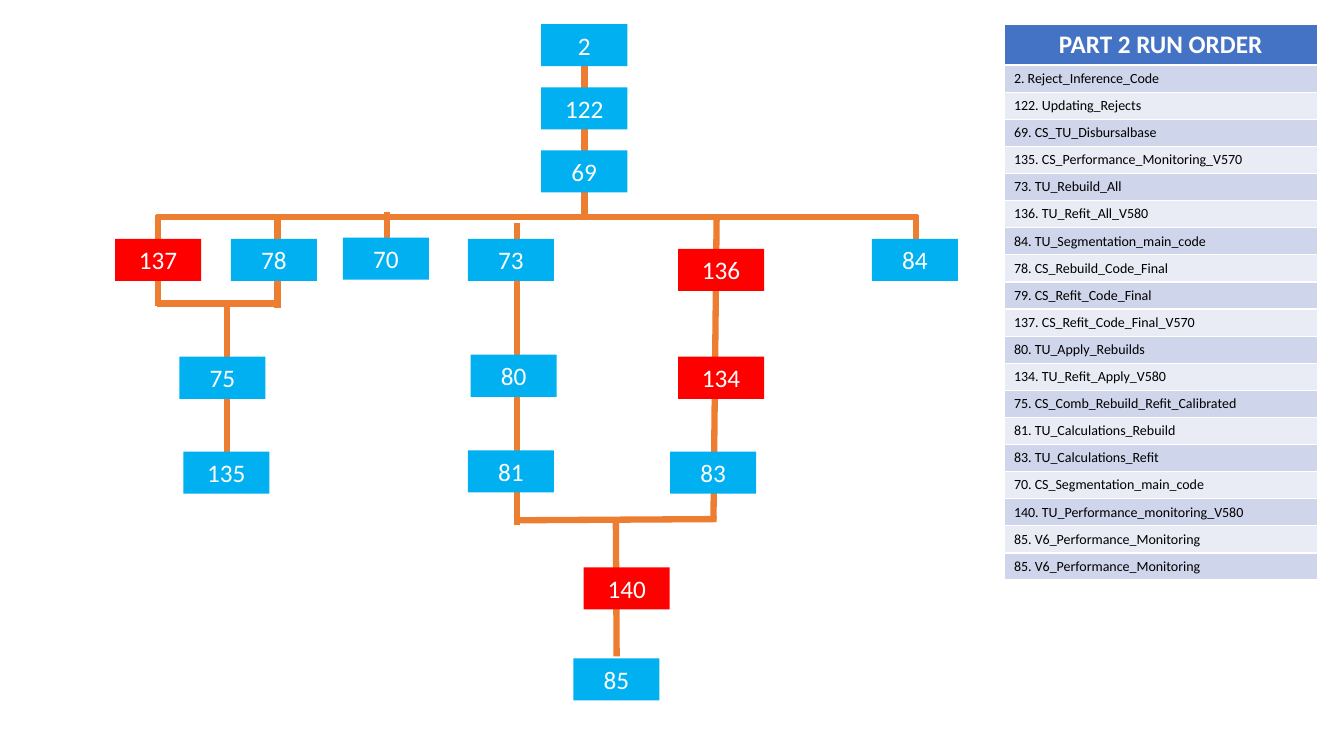
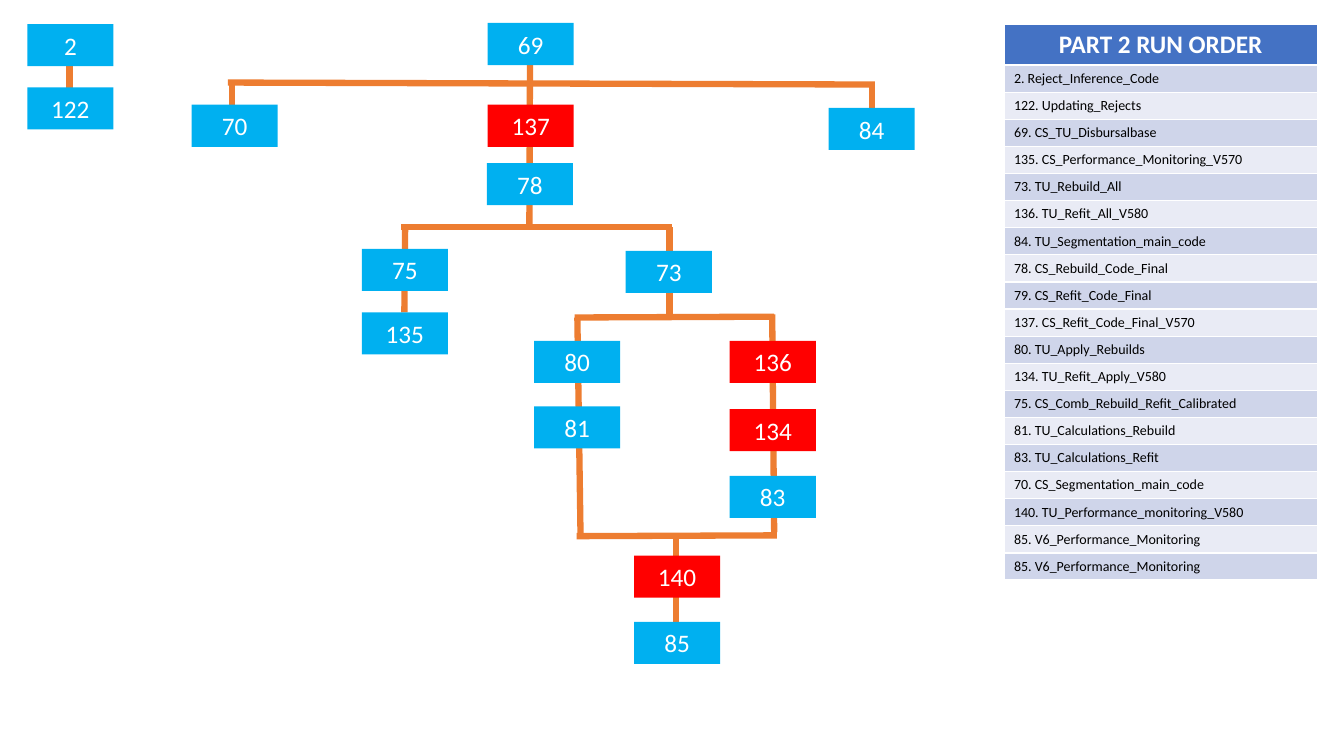
from dataclasses import dataclass
from typing import NamedTuple

from lxml.etree import SubElement
from pptx import Presentation
from pptx.dml.color import RGBColor
from pptx.enum.shapes import MSO_CONNECTOR, MSO_SHAPE
from pptx.enum.text import MSO_ANCHOR, PP_ALIGN
from pptx.oxml.ns import qn
from pptx.slide import Slide
from pptx.util import Cm, Pt


@dataclass(frozen=True)
class Theme:
    font: str = "Calibri"
    step_fill: RGBColor = RGBColor(0x00, 0xB0, 0xF0)
    refit_fill: RGBColor = RGBColor(0xFF, 0x00, 0x00)
    link: RGBColor = RGBColor(0xED, 0x7D, 0x31)
    header_fill: RGBColor = RGBColor(0x44, 0x72, 0xC4)
    bands: tuple[RGBColor, RGBColor] = (
        RGBColor(0xCF, 0xD5, 0xEA), RGBColor(0xE9, 0xEB, 0xF5))
    light: RGBColor = RGBColor(0xFF, 0xFF, 0xFF)
    dark: RGBColor = RGBColor(0x00, 0x00, 0x00)
    large: Pt = Pt(18)
    small: Pt = Pt(10)
    link_width: Pt = Pt(4.5)


THEME = Theme()


class Step(NamedTuple):
    """A numbered box; left and top in centimetres."""
    number: int
    left: float
    top: float


class Link(NamedTuple):
    """A straight line; ends in centimetres."""
    x1: float
    y1: float
    x2: float
    y2: float


class Flow(NamedTuple):
    links: list[Link]
    steps: list[Step]


STEP_WIDTH, STEP_HEIGHT = Cm(2.17), Cm(1.06)
REFIT_STEPS = {134, 136, 137, 140}

RUN_ORDER_TITLE = "PART 2 RUN ORDER"
RUN_ORDER = [
    "2. Reject_Inference_Code",
    "122. Updating_Rejects",
    "69. CS_TU_Disbursalbase",
    "135. CS_Performance_Monitoring_V570",
    "73. TU_Rebuild_All",
    "136. TU_Refit_All_V580",
    "84. TU_Segmentation_main_code",
    "78. CS_Rebuild_Code_Final",
    "79. CS_Refit_Code_Final",
    "137. CS_Refit_Code_Final_V570",
    "80. TU_Apply_Rebuilds",
    "134. TU_Refit_Apply_V580",
    "75. CS_Comb_Rebuild_Refit_Calibrated",
    "81. TU_Calculations_Rebuild",
    "83. TU_Calculations_Refit",
    "70. CS_Segmentation_main_code",
    "140. TU_Performance_monitoring_V580",
    "85. V6_Performance_Monitoring",
    "85. V6_Performance_Monitoring",
]

WIDE_FLOW = Flow(
    links=[
        Link(14.73, 0.61, 14.73, 5.46),
        Link(3.94, 5.46, 23.14, 5.46),
        Link(3.99, 7.72, 3.99, 5.41),
        Link(6.99, 7.75, 6.99, 5.44),
        Link(9.75, 6.55, 9.75, 5.33),
        Link(13.03, 13.23, 13.03, 5.61),
        Link(17.98, 13.08, 18.06, 5.46),
        Link(23.09, 6.02, 23.09, 5.41),
        Link(3.96, 7.65, 6.99, 7.65),
        Link(5.72, 11.38, 5.72, 7.7),
        Link(13.03, 13.11, 18.06, 13.08),
        Link(15.54, 16.54, 15.52, 13.11),
    ],
    steps=[
        Step(2, 13.64, 0.61),
        Step(122, 13.64, 2.2),
        Step(69, 13.64, 3.79),
        Step(137, 2.9, 6.02),
        Step(78, 5.82, 6.02),
        Step(70, 8.64, 5.99),
        Step(73, 11.79, 6.02),
        Step(136, 17.09, 6.27),
        Step(84, 21.97, 6.02),
        Step(75, 4.52, 8.99),
        Step(80, 11.86, 8.94),
        Step(134, 17.09, 8.99),
        Step(135, 4.62, 11.38),
        Step(81, 11.79, 11.35),
        Step(83, 16.89, 11.38),
        Step(140, 14.71, 14.3),
        Step(85, 14.45, 16.59),
    ],
)

DEEP_FLOW = Flow(
    links=[
        Link(1.75, 0.61, 1.75, 2.82),
        Link(13.34, 5.72, 13.36, 0.58),
        Link(5.74, 2.08, 22.05, 2.13),
        Link(5.84, 2.67, 5.84, 2.08),
        Link(21.97, 2.74, 21.97, 2.16),
        Link(10.11, 5.72, 16.94, 5.72),
        Link(10.19, 7.87, 10.21, 5.72),
        Link(16.87, 8.0, 16.87, 5.72),
        Link(14.48, 8.0, 19.51, 7.98),
        Link(14.63, 13.49, 14.55, 8.0),
        Link(19.51, 13.41, 19.46, 7.92),
        Link(14.53, 13.51, 19.58, 13.49),
        Link(17.04, 15.8, 17.04, 13.51),
    ],
    steps=[
        Step(2, 0.69, 0.61),
        Step(122, 0.69, 2.2),
        Step(69, 12.29, 0.58),
        Step(70, 4.83, 2.64),
        Step(137, 12.29, 2.64),
        Step(84, 20.88, 2.72),
        Step(78, 12.27, 4.11),
        Step(75, 9.12, 6.27),
        Step(73, 15.77, 6.32),
        Step(135, 9.12, 7.87),
        Step(80, 13.46, 8.59),
        Step(136, 18.39, 8.59),
        Step(81, 13.46, 10.24),
        Step(134, 18.39, 10.31),
        Step(83, 18.39, 11.99),
        Step(140, 15.98, 14.0),
        Step(85, 15.98, 15.67),
    ],
)


def write(frame, text: str, size: Pt, color: RGBColor,
          align: PP_ALIGN = PP_ALIGN.LEFT, bold: bool = False) -> None:
    para = frame.paragraphs[0]
    para.alignment = align
    span = para.add_run()
    span.text = text
    span.font.name = THEME.font
    span.font.size = size
    span.font.bold = bold
    span.font.color.rgb = color


def draw_link(page: Slide, link: Link) -> None:
    line = page.shapes.add_connector(
        MSO_CONNECTOR.STRAIGHT, *(Cm(value) for value in link))
    line.line.color.rgb = THEME.link
    line.line.width = THEME.link_width
    SubElement(line.element.spPr, qn("a:effectLst"))


def draw_step(page: Slide, step: Step) -> None:
    box = page.shapes.add_shape(
        MSO_SHAPE.RECTANGLE, Cm(step.left), Cm(step.top),
        STEP_WIDTH, STEP_HEIGHT)
    box.shadow.inherit = False
    box.fill.solid()
    box.fill.fore_color.rgb = (
        THEME.refit_fill if step.number in REFIT_STEPS else THEME.step_fill)
    box.line.fill.background()
    box.text_frame.vertical_anchor = MSO_ANCHOR.MIDDLE
    write(box.text_frame, str(step.number), THEME.large, THEME.light,
          PP_ALIGN.CENTER)


def draw_run_order(page: Slide) -> None:
    header_height, row_height = Cm(1.03), Cm(0.68)
    count = len(RUN_ORDER)
    table = page.shapes.add_table(
        count + 1, 1, Cm(25.3), Cm(0.61), Cm(7.9),
        header_height + count * row_height).table
    for row in table.rows:
        row.height = row_height
    table.rows[0].height = header_height

    header = table.cell(0, 0)
    header.fill.solid()
    header.fill.fore_color.rgb = THEME.header_fill
    write(header.text_frame, RUN_ORDER_TITLE, THEME.large, THEME.light,
          PP_ALIGN.CENTER, bold=True)
    for index, name in enumerate(RUN_ORDER):
        cell = table.cell(index + 1, 0)
        cell.fill.solid()
        cell.fill.fore_color.rgb = THEME.bands[index % 2]
        write(cell.text_frame, name, THEME.small, THEME.dark)


def main() -> None:
    deck = Presentation()
    deck.slide_width, deck.slide_height = Cm(33.87), Cm(19.05)
    blank = deck.slide_layouts.get_by_name("Blank")
    for flow in (WIDE_FLOW, DEEP_FLOW):
        page = deck.slides.add_slide(blank)
        for link in flow.links:
            draw_link(page, link)
        for step in flow.steps:
            draw_step(page, step)
        draw_run_order(page)
    deck.save("out.pptx")


if __name__ == "__main__":
    main()
